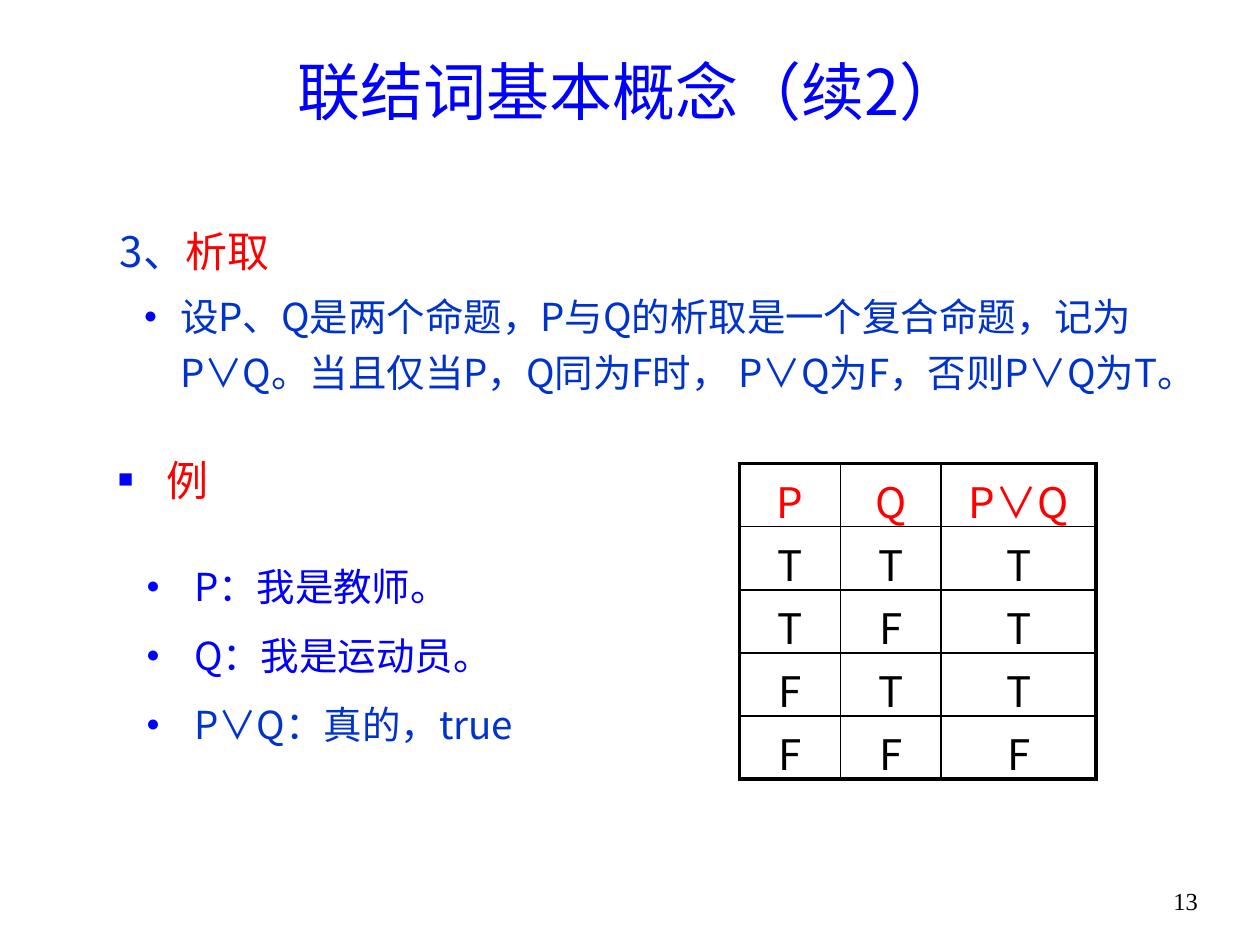
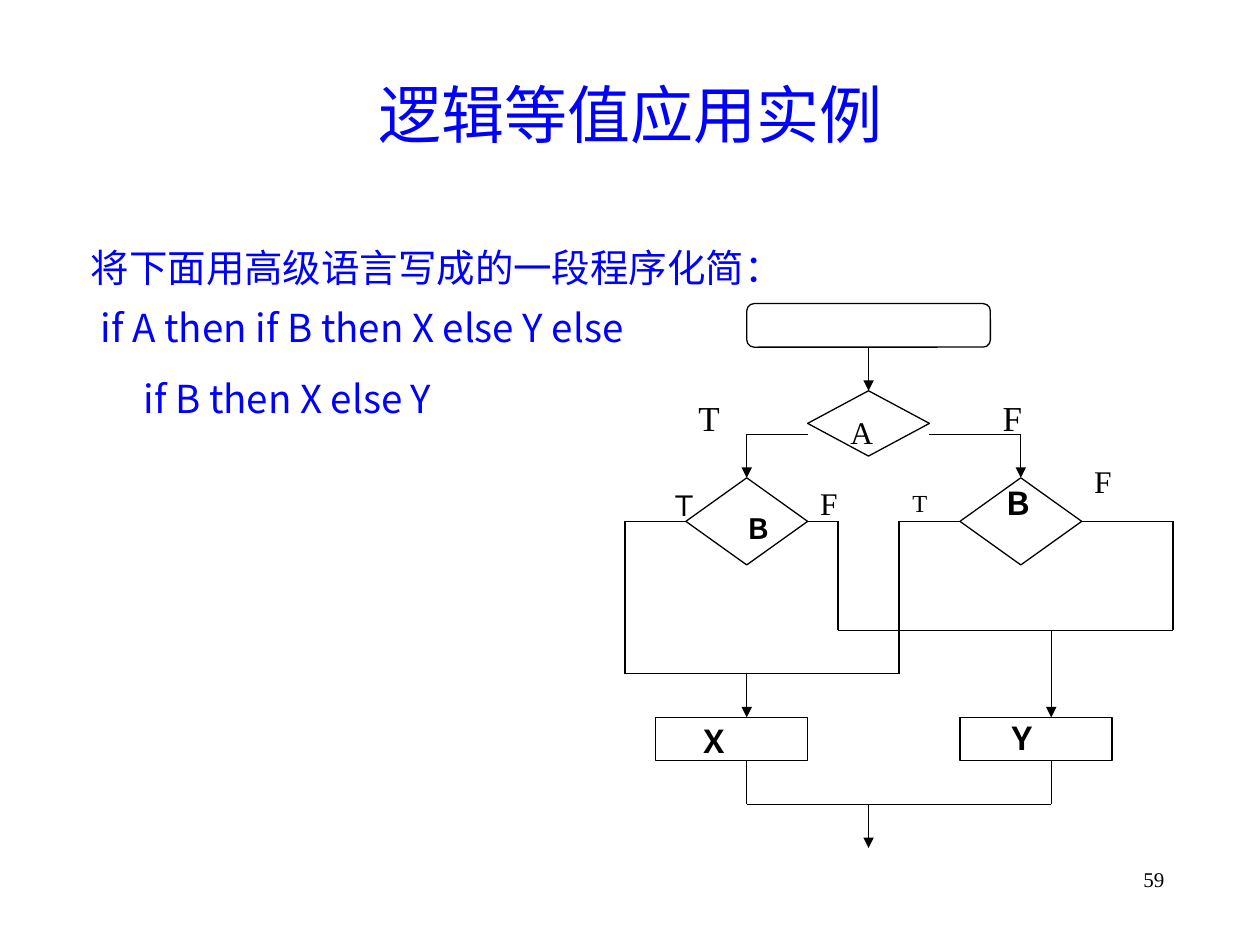
from dataclasses import dataclass

from lxml.etree import SubElement
from pptx import Presentation
from pptx.dml.color import RGBColor
from pptx.enum.shapes import MSO_CONNECTOR, MSO_SHAPE
from pptx.enum.text import MSO_ANCHOR, MSO_AUTO_SIZE, PP_ALIGN
from pptx.oxml.ns import qn
from pptx.util import Inches, Pt


@dataclass(frozen=True)
class Theme:
    blue: str = "0000FF"
    deep: str = "0033CC"
    red: str = "FF0000"
    black: str = "000000"
    sans: str = "Noto Sans CJK SC"
    serif: str = "Times New Roman"
    title: int = 36
    head: int = 24
    body: int = 22
    symbol: int = 18
    thin: float = 0.75
    grid: float = 1
    frame: float = 2.25


T = Theme()


def style(p, size, color, font=T.sans, bold=False, align=None):
    """Format every run of a paragraph."""
    p.alignment = align
    for r in p.runs:
        r.font.size, r.font.bold, r.font.name = Pt(size), bold, font
        r.font.color.rgb = RGBColor.from_string(color)
        SubElement(r._r.get_or_add_rPr(), qn("a:ea")).set("typeface", T.sans)


def layout(p, left, first, line, before, after=0, bullet=None):
    """Set indents in inches, spacing in points and the bullet."""
    p.line_spacing, p.space_before, p.space_after = Pt(line), Pt(before), Pt(after)
    pPr = p._p.get_or_add_pPr()
    pPr.set("marL", str(Inches(left)))
    pPr.set("indent", str(Inches(first)))
    if bullet is None:
        SubElement(pPr, qn("a:buNone"))
        return
    SubElement(SubElement(pPr, qn("a:buClr")), qn("a:srgbClr")).set("val", T.blue)
    SubElement(pPr, qn("a:buSzPct")).set("val", "60000")
    SubElement(pPr, qn("a:buFont")).set("typeface", T.serif)
    SubElement(pPr, qn("a:buChar")).set("char", bullet)


prs = Presentation()
prs.slide_width, prs.slide_height = Inches(10), Inches(7.5)

# Shared frame: title, body placeholder and page number
pages = [
    ("联结词基本概念（续2）", (0.75, 0.36, 8.5, 0.71), MSO_ANCHOR.MIDDLE,
     (1.06, 4.38, 4.02, 1.81),
     "13", (8.94, 6.98, 0.94, 0.35), 14, PP_ALIGN.CENTER),
    ("逻辑等值应用实例", (0.75, 0, 8.5, 1.25), MSO_ANCHOR.BOTTOM,
     (0.62, 1.92, 8.87, 4.67),
     "59", (7.17, 6.83, 2.17, 0.52), 12, PP_ALIGN.RIGHT),
]
slides = []
for title, title_box, anchor, body_box, number, number_box, size, align in pages:
    s = prs.slides.add_slide(prs.slide_layouts[1])
    body = s.placeholders[1]
    for sp, box in ((s.shapes.title, title_box), (body, body_box)):
        sp.left, sp.top, sp.width, sp.height = map(Inches, box)
        sp.text_frame.auto_size = MSO_AUTO_SIZE.NONE
    tf = s.shapes.title.text_frame
    tf.text, tf.vertical_anchor = title, anchor
    style(tf.paragraphs[0], T.title, T.blue, align=PP_ALIGN.CENTER)
    tf = s.shapes.add_textbox(*map(Inches, number_box)).text_frame
    tf.text, tf.word_wrap = number, True
    style(tf.paragraphs[0], size, T.black, T.serif, align=align)
    slides.append((s, body.text_frame))

# Slide 1: definition of disjunction
s, tf = slides[0]
examples = [("P：我是教师。", T.blue), ("Q：我是运动员。", T.blue),
            ("P∨Q：真的，true", T.deep)]
tf.text = "\n".join(text for text, _ in examples)
for p, (_, color) in zip(tf.paragraphs, examples):
    style(p, T.body, color)
    layout(p, 0.38, -0.38, 29, 4.4, 6, "●")

tf = s.shapes.add_textbox(*map(Inches, (0.75, 1.7, 8.82, 1.45))).text_frame
tf.word_wrap = True
tf.margin_left = tf.margin_top = tf.margin_right = tf.margin_bottom = 0
tf.text = ("3、\n设P、Q是两个命题，P与Q的析取是一个复合命题，记为P∨Q。"
           "当且仅当P，Q同为F时， P∨Q为F，否则P∨Q为T。")
term, meaning = tf.paragraphs
r = term.add_run()
r.text = "析取"
style(term, T.head, T.deep)
r.font.color.rgb = RGBColor.from_string(T.red)
layout(term, 0.2, 0, 35, 4.8)
style(meaning, T.body, T.deep)
layout(meaning, 0.68, -0.29, 32, 4.4, bullet="●")

tf = s.shapes.add_textbox(*map(Inches, (0.84, 3.51, 1.73, 0.71))).text_frame
tf.text, tf.word_wrap = "例", True
style(tf.paragraphs[0], T.head, T.red)
layout(tf.paragraphs[0], 0.38, -0.38, 32, 4.8, 6, "■")

# Truth table with a heavy outer frame
truth = [("P", "Q", "P∨Q"), "TTT", "TFT", "FTT", "FFF"]
last_row, last_col = len(truth) - 1, len(truth[0]) - 1
table = s.shapes.add_table(last_row + 1, last_col + 1, *map(Inches, (5.87, 3.68, 2.84, 2.5))).table
table.first_row = table.horz_banding = False
for col, width in zip(table.columns, (0.8, 0.8, 1.23)):
    col.width = Inches(width)
for i, row in enumerate(truth):
    for j, value in enumerate(row):
        cell = table.cell(i, j)
        cell.text = value
        style(cell.text_frame.paragraphs[0], T.head, T.black if i else T.red,
              align=PP_ALIGN.CENTER)
        tcPr = cell._tc.get_or_add_tcPr()
        edges = {"lnL": j == 0, "lnR": j == last_col, "lnT": i == 0, "lnB": i == last_row}
        for tag, outer in edges.items():
            ln = SubElement(tcPr, qn("a:" + tag))
            ln.set("w", str(Pt(T.frame if outer else T.grid)))
            SubElement(SubElement(ln, qn("a:solidFill")), qn("a:srgbClr")).set("val", T.black)
        cell.fill.background()

# Slide 2: program text
s, tf = slides[1]
program = [("将下面用高级语言写成的一段程序化简：", 0.51, -0.51, 4.4),
           ("if A then if B then X else Y else", 0.08, 0, 4.4),
           ("if B then X else Y", 0.42, 0, 10.5)]
tf.text = "\n".join(line[0] for line in program)
for p, (_, left, first, before) in zip(tf.paragraphs, program):
    style(p, T.body, T.blue)
    layout(p, left, first, 24, before, 6)

# Flow chart grid: 18 columns by 12.5 rows
X0, Y0, COL, ROW = Inches(4.96), Inches(2.41), Inches(4.35) / 18, Inches(4.32) / 12.5

# Flow chart nodes: shape, column, row, columns wide, rows high, text
nodes = [
    (MSO_SHAPE.FLOWCHART_ALTERNATE_PROCESS, 4, 0, 8, 1, ""),
    (MSO_SHAPE.FLOWCHART_DECISION, 6, 2, 4, 1.5, "A"),
    (MSO_SHAPE.DIAMOND, 2, 4, 4, 2, ""),
    (MSO_SHAPE.DIAMOND, 11, 4, 4, 2, ""),
    (MSO_SHAPE.RECTANGLE, 1, 9.5, 5, 1, ""),
    (MSO_SHAPE.RECTANGLE, 11, 9.5, 5, 1, ""),
]
for kind, col, row, wide, high, text in nodes:
    sp = s.shapes.add_shape(kind, int(X0 + col * COL), int(Y0 + row * ROW),
                            int(wide * COL), int(high * ROW))
    sp.shadow.inherit = False
    sp.fill.background()
    sp.line.color.rgb = RGBColor.from_string(T.black)
    sp.line.width = Pt(T.thin)
    if text:
        sp.text_frame.text, sp.text_frame.vertical_anchor = text, MSO_ANCHOR.TOP
        style(sp.text_frame.paragraphs[0], T.symbol, T.black, T.serif, align=PP_ALIGN.JUSTIFY)

# Flow chart routes: grid points, arrowhead at the end
routes = [
    ([(8, 1), (8, 2)], True),
    ([(6, 3), (4, 3), (4, 4)], True),
    ([(10, 3), (13, 3), (13, 4)], True),
    ([(2, 5), (0, 5), (0, 8.5), (9, 8.5), (9, 5), (11, 5)], False),
    ([(6, 5), (7, 5), (7, 7.5), (18, 7.5), (18, 5), (15, 5)], False),
    ([(4, 8.5), (4, 9.5)], True),
    ([(14, 7.5), (14, 9.5)], True),
    ([(4, 10.5), (4, 11.5), (14, 11.5), (14, 10.5)], False),
    ([(8, 11.5), (8, 12.5)], True),
]
for points, arrow in routes:
    for (c1, r1), (c2, r2) in zip(points, points[1:]):
        cx = s.shapes.add_connector(MSO_CONNECTOR.STRAIGHT,
                                    int(X0 + c1 * COL), int(Y0 + r1 * ROW),
                                    int(X0 + c2 * COL), int(Y0 + r2 * ROW))
        cx.line.color.rgb = RGBColor.from_string(T.black)
        cx.line.width = Pt(T.thin)
        SubElement(cx._element.spPr, qn("a:effectLst"))
    if arrow:
        SubElement(cx.line._get_or_add_ln(), qn("a:tailEnd")).set("type", "triangle")

# Flow chart labels: text, column, row, size, bold
labels = [
    ("T", 2, 2, 20, False), ("F", 12, 2, 20, False),
    ("Ｔ", 1.08, 4.1, 16, False), ("F", 6, 4, T.symbol, False),
    ("T", 9.03, 4.1, 14, False), ("F", 15, 3.5, T.symbol, False),
    ("Ｂ", 3.52, 4.63, 16, True), ("Ｂ", 12, 4, T.symbol, True),
    ("Ｘ", 2, 9.46, T.symbol, True), ("Ｙ", 12.13, 9.4, T.symbol, True),
]
for text, col, row, size, bold in labels:
    tf = s.shapes.add_textbox(int(X0 + col * COL), int(Y0 + row * ROW),
                              int(3 * COL), int(1.5 * ROW)).text_frame
    tf.text, tf.word_wrap = text, True
    style(tf.paragraphs[0], size, T.black, T.serif, bold, PP_ALIGN.JUSTIFY)

prs.save("out.pptx")
